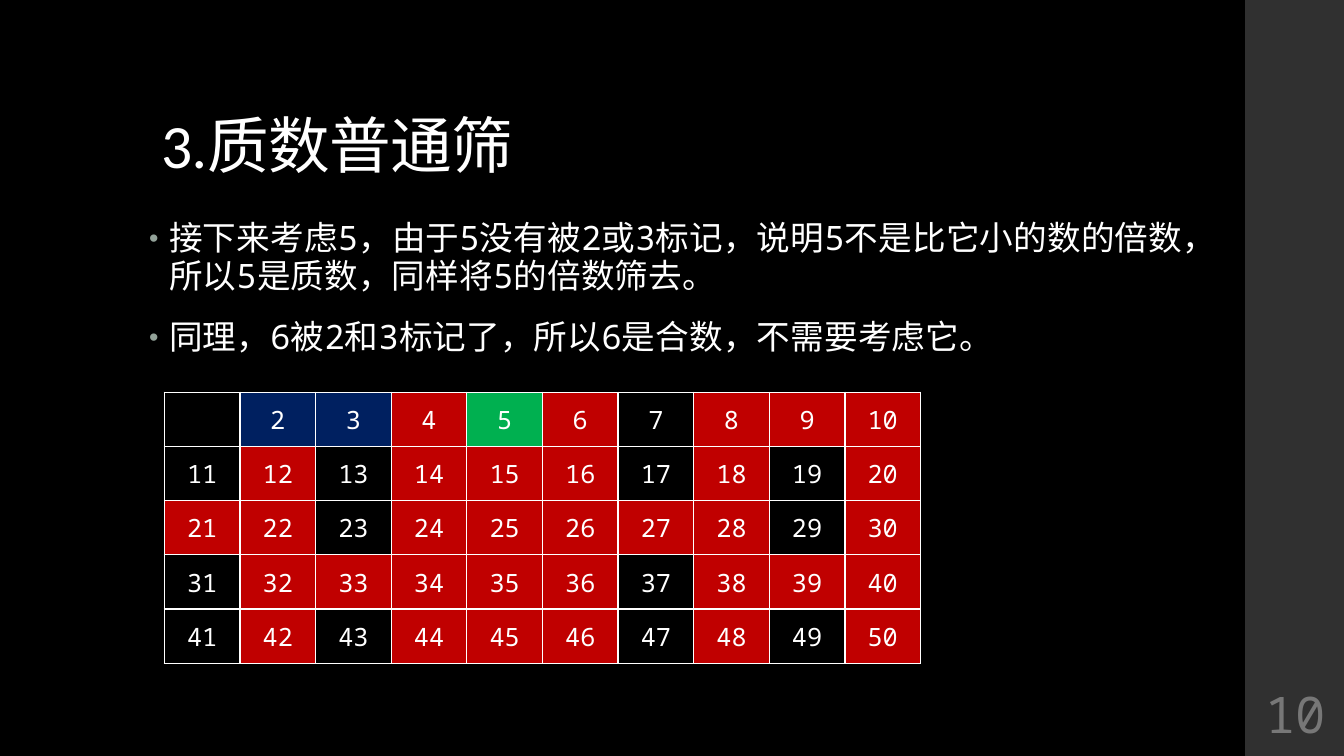
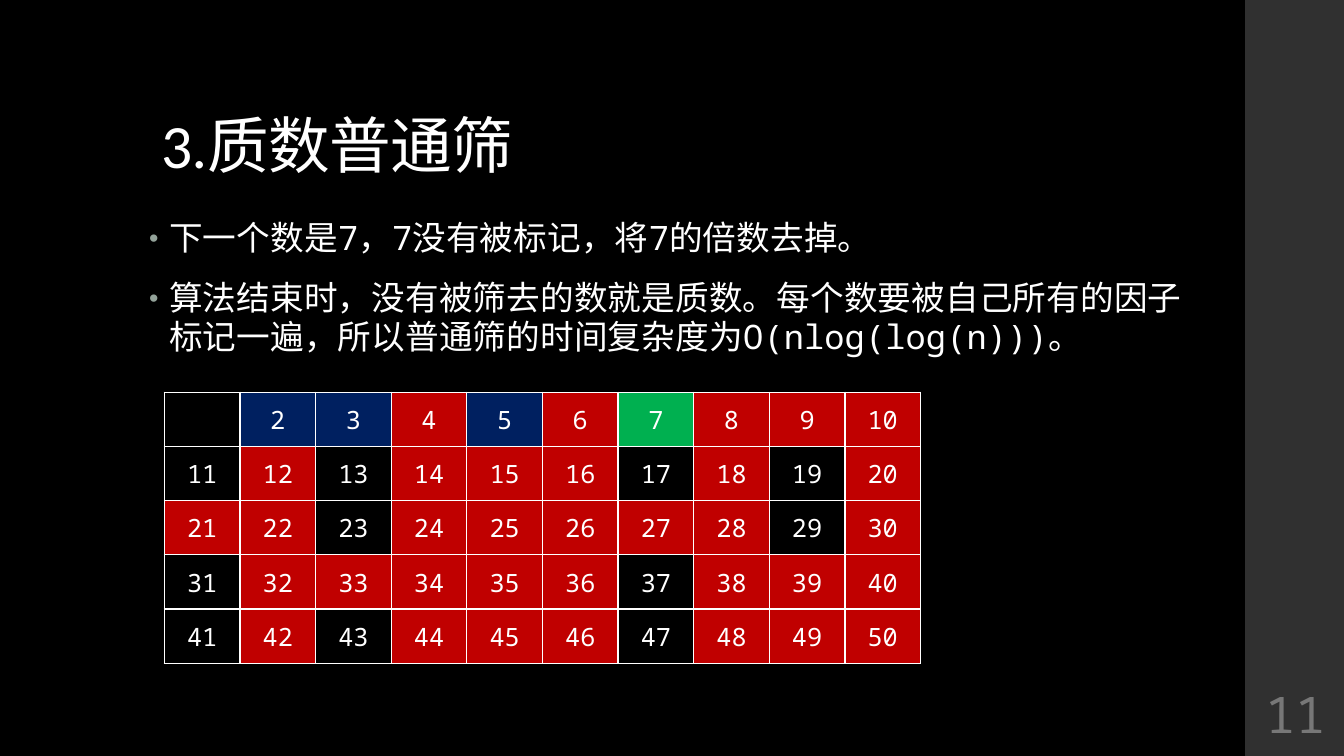
from dataclasses import dataclass
from typing import Any, Optional

from lxml import etree
from pptx import Presentation
from pptx import slide as s
from pptx import util as u
from pptx.dml import color
from pptx.enum import shapes, text
from pptx.oxml import ns


@dataclass(frozen=True)
class Theme:
    background: str = "000000"
    band: str = "303030"
    text: str = "FFFFFF"
    bullet: str = "93A299"
    page_number: str = "777777"
    earlier_prime: str = "002060"
    current_prime: str = "00B050"
    composite: str = "C00000"
    title_font: str = "Calibri"
    body_font: str = "Noto Sans Mono"
    title_size: int = 44
    body_size: int = 24
    cell_size: int = 18
    number_size: int = 36


@dataclass(frozen=True)
class Box:
    left: float
    top: float
    width: float
    height: float

    def lengths(self) -> list[int]:
        return [u.Inches(value) for value in (self.left, self.top, self.width, self.height)]


@dataclass(frozen=True)
class TextStyle:
    size: int
    font: str
    color: str
    spacing: float = 0


@dataclass(frozen=True)
class SievePage:
    number: int
    prime: int
    bullets: tuple[str, ...]


THEME = Theme()
TITLE = "3.质数普通筛"
TITLE_STYLE = TextStyle(THEME.title_size, THEME.title_font, THEME.text, -0.5)
BODY_STYLE = TextStyle(THEME.body_size, THEME.body_font, THEME.text, 0.1)
CELL_STYLE = TextStyle(THEME.cell_size, THEME.body_font, THEME.text)
NUMBER_STYLE = TextStyle(THEME.number_size, THEME.body_font, THEME.page_number)

BAND_BOX = Box(12.35, 0, 1, 7.5)
TITLE_BOX = Box(1.5, 0.4, 10.35, 1.45)
BODY_BOX = Box(1.38, 2.13, 10.6, 4.76)
TABLE_BOX = Box(1.63, 3.89, 7.5, 2.69)
NUMBER_BOX = Box(12.35, 6.75, 1, 0.65)
ROWS, COLUMNS = 5, 10

TITLE_FORMAT = {"line_spacing": 0.9}
BULLET_FORMAT = {"line_spacing": 0.95, "space_before": u.Pt(14), "space_after": u.Pt(2)}
CENTRED = {"alignment": text.PP_ALIGN.CENTER}
NUMBER_FRAME = {
    "vertical_anchor": text.MSO_ANCHOR.MIDDLE,
    **{f"margin_{side}": u.Inches(0.05) for side in ("left", "top", "right", "bottom")},
}
CELL_FORMAT = {
    "vertical_anchor": text.MSO_ANCHOR.MIDDLE,
    "margin_left": u.Inches(0.01),
    "margin_top": u.Inches(0.01),
    "margin_right": u.Inches(0.01),
    "margin_bottom": 0,
}

PAGES = (
    SievePage(10, 5, (
        "接下来考虑5，由于5没有被2或3标记，说明5不是比它小的数的倍数，所以5是质数，同样将5的倍数筛去。",
        "同理，6被2和3标记了，所以6是合数，不需要考虑它。",
    )),
    SievePage(11, 7, (
        "下一个数是7，7没有被标记，将7的倍数去掉。",
        "算法结束时，没有被筛去的数就是质数。每个数要被自己所有的因子标记一遍，"
        "所以普通筛的时间复杂度为O(nlog(log(n)))。",
    )),
)


def rgb(value: str) -> color.RGBColor:
    return color.RGBColor.from_string(value)


def apply_format(target: Any, values: dict[str, Any]) -> None:
    for name, value in values.items():
        setattr(target, name, value)


def add_element(parent: Any, tag: str, **attributes: str) -> Any:
    return etree.SubElement(parent, ns.qn(tag), attributes)


def write_paragraph(paragraph: Any, words: str, style: TextStyle, values: dict[str, Any]) -> None:
    apply_format(paragraph, values)
    run = paragraph.add_run()
    run.text = words
    apply_format(run.font, {"size": u.Pt(style.size), "name": style.font})
    run.font.color.rgb = rgb(style.color)
    if style.spacing:
        run._r.get_or_add_rPr().set("spc", str(round(style.spacing * 100)))


def add_bullet(paragraph: Any) -> None:
    properties = paragraph._p.get_or_add_pPr()
    properties.set("marL", str(u.Inches(0.2)))
    properties.set("indent", str(u.Inches(-0.2)))
    bullet_color = add_element(properties, "a:buClr")
    add_element(bullet_color, "a:srgbClr", val=THEME.bullet)
    add_element(properties, "a:buSzPct", val="80000")
    add_element(properties, "a:buFont", typeface="Arial")
    add_element(properties, "a:buChar", char="•")


def add_text_frame(slide: s.Slide, box: Box, values: dict[str, Any]) -> Any:
    frame = slide.shapes.add_textbox(*box.lengths()).text_frame
    apply_format(frame, {"word_wrap": True, **values})
    return frame


def add_band(slide: s.Slide) -> None:
    band = slide.shapes.add_shape(shapes.MSO_SHAPE.RECTANGLE, *BAND_BOX.lengths())
    band.shadow.inherit = False
    band.fill.solid()
    band.fill.fore_color.rgb = rgb(THEME.band)
    band.line.fill.background()


def add_bullets(slide: s.Slide, bullets: tuple[str, ...]) -> None:
    frame = add_text_frame(slide, BODY_BOX, {})
    for index, words in enumerate(bullets):
        paragraph = frame.add_paragraph() if index else frame.paragraphs[0]
        write_paragraph(paragraph, words, BODY_STYLE, BULLET_FORMAT)
        add_bullet(paragraph)


def smallest_factor(number: int) -> Optional[int]:
    return next((factor for factor in range(2, number + 1) if number % factor == 0), None)


def sieve_color(number: int, prime: int) -> str:
    """Colour of a number once the multiples of every prime up to this one are struck out."""
    factor = smallest_factor(number)
    if factor is None or factor > prime:
        return THEME.background
    if number > factor:
        return THEME.composite
    return THEME.current_prime if number == prime else THEME.earlier_prime


def add_borders(cell: Any) -> None:
    properties = cell._tc.get_or_add_tcPr()
    for edge in ("a:lnL", "a:lnR", "a:lnT", "a:lnB"):
        line = add_element(properties, edge, w=str(u.Pt(1)))
        add_element(add_element(line, "a:solidFill"), "a:srgbClr", val=THEME.text)


def add_sieve_table(slide: s.Slide, prime: int) -> None:
    table = slide.shapes.add_table(ROWS, COLUMNS, *TABLE_BOX.lengths()).table
    apply_format(table, {"first_row": False, "horz_banding": False})
    for number, cell in enumerate(table.iter_cells(), start=1):
        apply_format(cell, CELL_FORMAT)
        add_borders(cell)
        cell.fill.solid()
        cell.fill.fore_color.rgb = rgb(sieve_color(number, prime))
        if number > 1:
            write_paragraph(cell.text_frame.paragraphs[0], str(number), CELL_STYLE, CENTRED)


def add_page(presentation: Any, page: SievePage) -> None:
    slide = presentation.slides.add_slide(presentation.slide_layouts[6])
    add_band(slide)
    title = add_text_frame(slide, TITLE_BOX, {"vertical_anchor": text.MSO_ANCHOR.BOTTOM})
    write_paragraph(title.paragraphs[0], TITLE, TITLE_STYLE, TITLE_FORMAT)
    add_bullets(slide, page.bullets)
    add_sieve_table(slide, page.prime)
    number = add_text_frame(slide, NUMBER_BOX, NUMBER_FRAME)
    write_paragraph(number.paragraphs[0], str(page.number), NUMBER_STYLE, CENTRED)


def main() -> None:
    presentation = Presentation()
    apply_format(presentation, {"slide_width": u.Inches(13.33), "slide_height": u.Inches(7.5)})
    background = presentation.slide_master.background.fill
    background.solid()
    background.fore_color.rgb = rgb(THEME.background)
    for page in PAGES:
        add_page(presentation, page)
    presentation.save("out.pptx")


if __name__ == "__main__":
    main()
